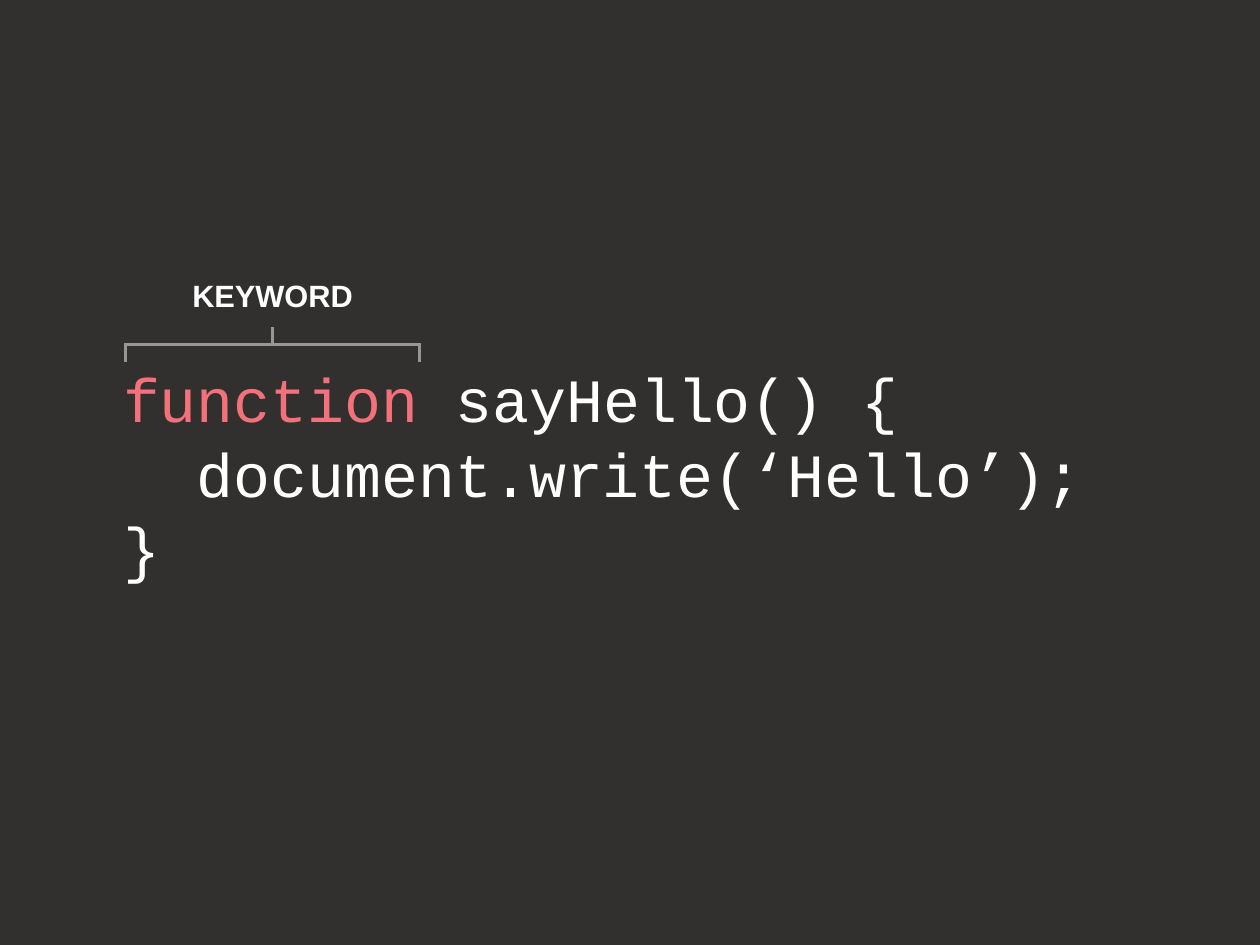
from pptx import Presentation
from pptx.dml.color import RGBColor
from pptx.enum.shapes import MSO_CONNECTOR
from pptx.enum.text import MSO_ANCHOR, MSO_AUTO_SIZE, PP_ALIGN
from pptx.oxml.ns import qn
from pptx.util import Pt

STRAIGHT = MSO_CONNECTOR.STRAIGHT
MIDDLE = MSO_ANCHOR.MIDDLE
NO_FIT = MSO_AUTO_SIZE.NONE
LEFT, CENTER = PP_ALIGN.LEFT, PP_ALIGN.CENTER

COLORS = {"background": "32302E", "keyword": "F2717A", "text": "FFFFFF", "line": "969696"}
WIDTH, HEIGHT = 1024, 768


class CodeSlide:
    code_font = "Courier New"
    label_font = "Arial"

    def __init__(self, prs):
        self.slide = prs.slides.add_slide(prs.slide_layouts[5])
        fill = self.slide.background.fill
        fill.solid()
        fill.fore_color.rgb = self.color("background")

    def color(self, name):
        return RGBColor.from_string(COLORS[name])

    def frame(self, sp, inset):
        tf = sp.text_frame
        tf.word_wrap = True
        tf.auto_size = NO_FIT
        tf.margin_left = tf.margin_top = Pt(inset)
        tf.margin_right = tf.margin_bottom = Pt(inset)
        return tf

    def code(self, lines):
        sp = self.slide.shapes.title
        sp.left, sp.top, sp.width, sp.height = Pt(0), Pt(0), Pt(WIDTH), Pt(HEIGHT)
        tf = self.frame(sp, 100)
        tf.vertical_anchor = MIDDLE
        p = tf.paragraphs[0]
        p.alignment = LEFT
        p.line_spacing = Pt(60.5)
        for i, line in enumerate(lines):
            if i:
                p.add_line_break()
            for text, color in line:
                r = p.add_run()
                r.text = text
                r.font.name = self.code_font
                r.font.size = Pt(50)
                r.font.color.rgb = self.color(color)

    def label(self, text, x, y, w, h):
        sp = self.slide.shapes.add_textbox(Pt(x), Pt(y), Pt(w), Pt(h))
        p = self.frame(sp, 0).paragraphs[0]
        p.text = text
        p.alignment = CENTER
        p.font.name = self.label_font
        p.font.size = Pt(25)
        p.font.bold = True
        p.font.color.rgb = self.color("text")

    def line(self, x1, y1, x2, y2):
        sp = self.slide.shapes.add_connector(STRAIGHT, Pt(x1), Pt(y1), Pt(x2), Pt(y2))
        sp.line.color.rgb = self.color("line")
        sp.line.width = Pt(2)
        properties = sp._element.spPr
        properties.append(properties.makeelement(qn("a:effectLst"), {}))

    def bracket(self, x, y, w, tick):
        for tick_x, tick_y in ((x + 1, y), (x + w - 1, y), (x + w / 2, y - tick)):
            self.line(tick_x, tick_y, tick_x, tick_y + tick)
        self.line(x, y, x + w, y)


def main():
    prs = Presentation()
    prs.slide_width, prs.slide_height = Pt(WIDTH), Pt(HEIGHT)
    s = CodeSlide(prs)
    s.code([
        [("function", "keyword"), (" sayHello() {", "text")],
        [("  document.write(‘Hello’);", "text")],
        [("}", "text")],
    ])
    s.bracket(101, 280, 241, 14.5)
    s.label("KEYWORD", 101, 225, 241, 29.5)
    prs.save("out.pptx")


if __name__ == "__main__":
    main()
